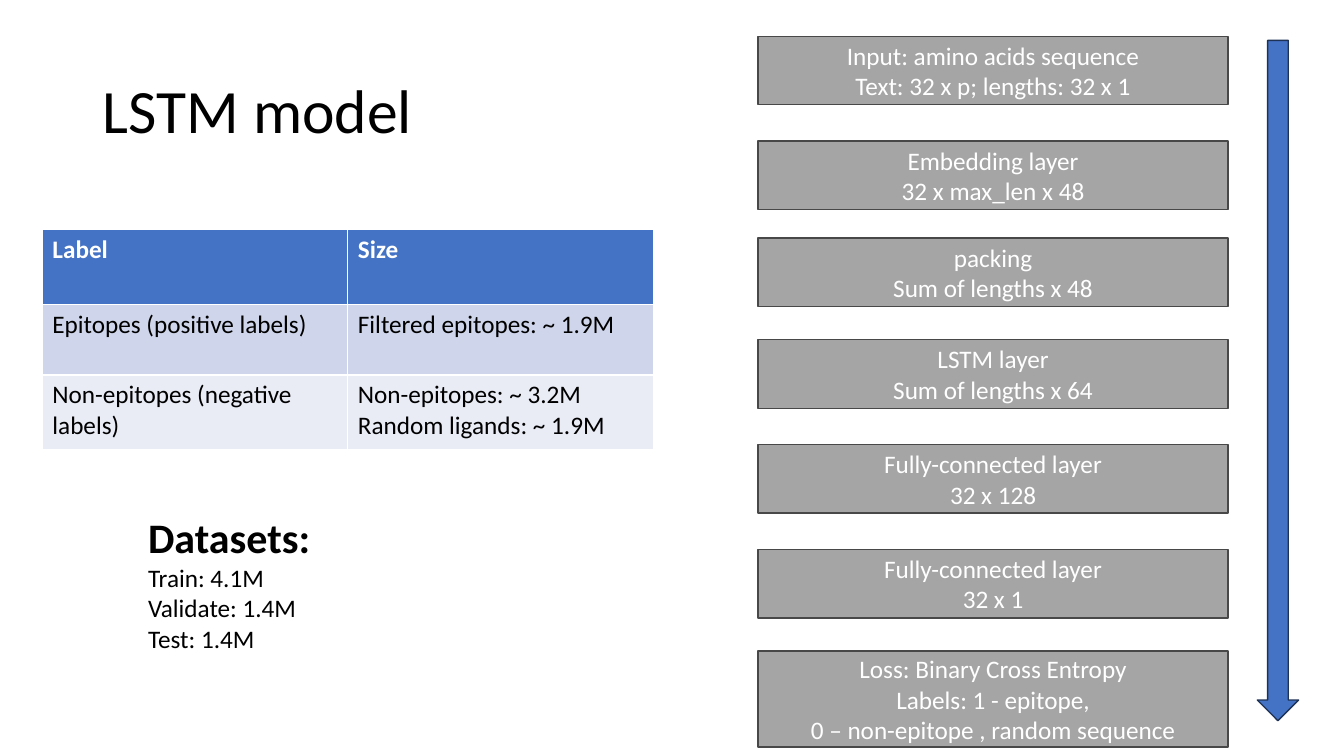
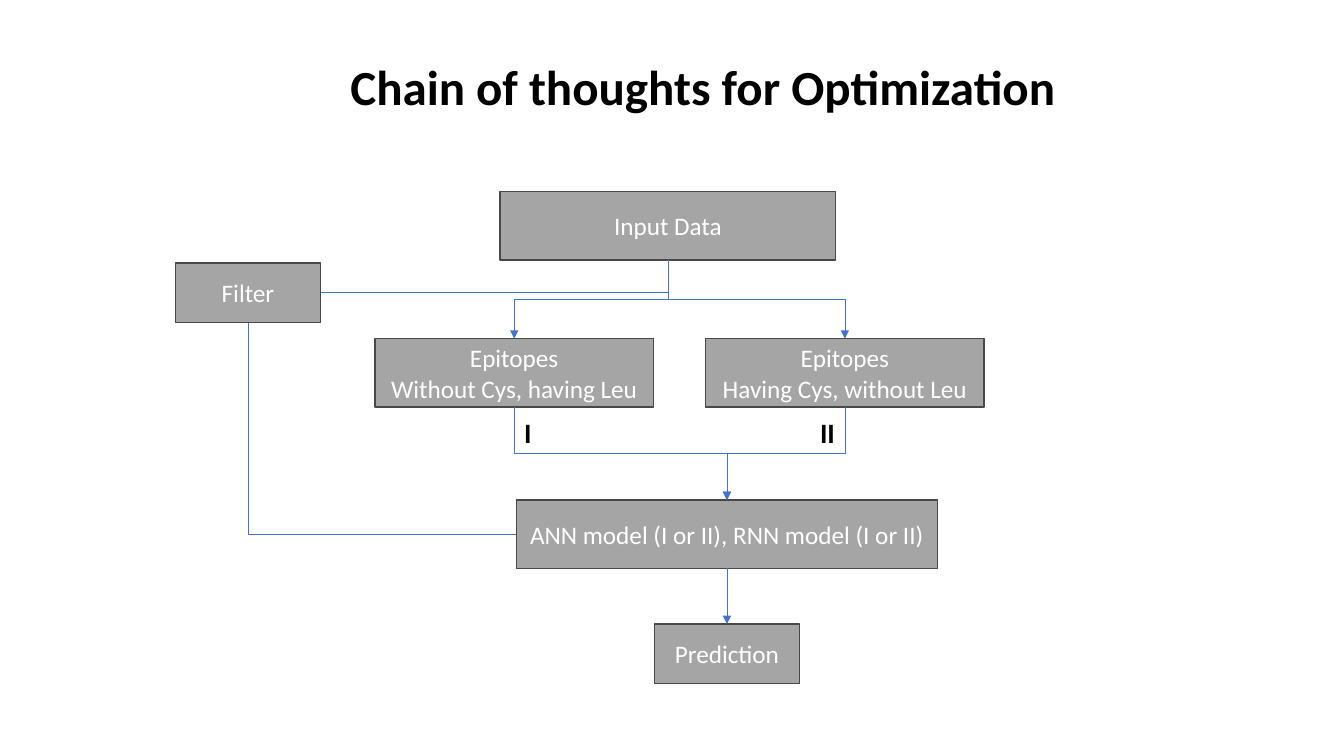
from lxml import etree
from pptx import Presentation
from pptx.dml.color import RGBColor
from pptx.enum.shapes import MSO_CONNECTOR, MSO_SHAPE
from pptx.enum.text import MSO_ANCHOR, PP_ALIGN
from pptx.oxml.ns import qn
from pptx.util import Inches, Pt

LEFT, CENTER, RIGHT = PP_ALIGN.LEFT, PP_ALIGN.CENTER, PP_ALIGN.RIGHT
TOP, MIDDLE = MSO_ANCHOR.TOP, MSO_ANCHOR.MIDDLE
STRAIGHT, ELBOW = MSO_CONNECTOR.STRAIGHT, MSO_CONNECTOR.ELBOW
RECTANGLE, DOWN_ARROW = MSO_SHAPE.RECTANGLE, MSO_SHAPE.DOWN_ARROW
TOP_SITE, LEFT_SITE, BOTTOM_SITE, RIGHT_SITE = range(4)

FONT = "Calibri"
BLACK, WHITE = "000000", "FFFFFF"
BOX_GRAY, BOX_EDGE = "A5A5A5", "484848"
BLUE, ARROW_EDGE = "4472C4", "1E3256"
ROW_FILLS = [BLUE, "CFD5EA", "E9EBF5"]
BOX_HEIGHT = 0.68

LAYERS = [
    (0.36, BOX_HEIGHT, ["Input: amino acids sequence", "Text: 32 x p; lengths: 32 x 1"]),
    (1.4, BOX_HEIGHT, ["Embedding layer", "32 x max_len x 48"]),
    (2.36, BOX_HEIGHT, ["packing", "Sum of lengths x 48"]),
    (3.37, BOX_HEIGHT, ["LSTM layer", "Sum of lengths x 64"]),
    (4.41, BOX_HEIGHT, ["Fully-connected layer", "32 x 128"]),
    (5.45, BOX_HEIGHT, ["Fully-connected layer", "32 x 1"]),
    (6.46, 0.95, ["Loss: Binary Cross Entropy", "Labels: 1 - epitope,",
                  "0 – non-epitope , random sequence"]),
]
LABEL_SIZES = [
    (["Label"], ["Size"]),
    (["Epitopes (positive labels)"], ["Filtered epitopes: ~ 1.9M"]),
    (["Non-epitopes (negative labels)"], ["Non-epitopes: ~ 3.2M", "Random ligands: ~ 1.9M"]),
]
ROW_HEIGHTS = [0.74, 0.7, 0.74]
DATASETS = ["Train: 4.1M", "Validate: 1.4M", "Test: 1.4M"]

STAGES = {
    "input": ((4.96, 1.9, 3.33, BOX_HEIGHT), ["Input Data"]),
    "without_cys": ((3.72, 3.36, 2.76, BOX_HEIGHT), ["Epitopes", "Without Cys, having Leu"]),
    "having_cys": ((7, 3.36, 2.76, BOX_HEIGHT), ["Epitopes", "Having Cys, without Leu"]),
    "model": ((5.12, 4.96, 4.18, BOX_HEIGHT), ["ANN model (I or II), RNN model (I or II)"]),
    "filter": ((1.74, 2.61, 1.44, 0.59), ["Filter"]),
    "prediction": ((6.49, 6.19, 1.44, 0.59), ["Prediction"]),
}
FORKS = [("input", "without_cys"), ("input", "having_cys"),
         ("without_cys", "model"), ("having_cys", "model")]


def color(hex_value):
    return RGBColor.from_string(hex_value)


def inches(values):
    return [Inches(value) for value in values]


def write(frame, lines, size=18, ink=BLACK, bold=False, align=LEFT, anchor=TOP, spacing=None):
    frame.word_wrap = True
    frame.vertical_anchor = anchor
    for index, line in enumerate(lines):
        paragraph = frame.add_paragraph() if index else frame.paragraphs[0]
        paragraph.alignment = align
        paragraph.line_spacing = spacing
        run = paragraph.add_run()
        run.text = line
        run.font.name, run.font.size, run.font.bold = FONT, Pt(size), bold
        run.font.color.rgb = color(ink)


def add_text(slide, bounds, lines, **style):
    frame = slide.shapes.add_textbox(*inches(bounds)).text_frame
    write(frame, lines, **style)
    return frame


def add_title(slide, bounds, title, **style):
    add_text(slide, bounds, [title], anchor=MIDDLE, spacing=0.9, **style)


def add_solid(slide, preset, bounds, fill, edge):
    solid = slide.shapes.add_shape(preset, *inches(bounds))
    solid.shadow.inherit = False
    solid.fill.solid()
    solid.fill.fore_color.rgb = color(fill)
    solid.line.color.rgb = color(edge)
    solid.line.width = Pt(1)
    return solid


def add_box(slide, bounds, lines):
    box = add_solid(slide, RECTANGLE, bounds, BOX_GRAY, BOX_EDGE)
    write(box.text_frame, lines, ink=WHITE, align=CENTER, anchor=MIDDLE)
    return box


def site(box, index):
    across, down = [(0.5, 0), (0, 0.5), (0.5, 1), (1, 0.5)][index]
    return int(box.left + box.width * across), int(box.top + box.height * down)


def add_link(slide, kind, start, end, arrow=True):
    link = slide.shapes.add_connector(kind, *start, *end)
    link.line.color.rgb = color(BLUE)
    link.line.width = Pt(0.5)
    if arrow:
        etree.SubElement(link.line._get_or_add_ln(), qn("a:tailEnd"), type="triangle")
    etree.SubElement(link._element.spPr, qn("a:effectLst"))
    return link


def add_bend(slide, source, target, target_site=TOP_SITE, preset="bentConnector3", arrow=True):
    start, end = site(source, BOTTOM_SITE), site(target, target_site)
    link = add_link(slide, ELBOW, start, end, arrow)
    link.begin_connect(source, BOTTOM_SITE)
    link.end_connect(target, target_site)
    link.width, link.height = abs(end[1] - start[1]), abs(end[0] - start[0])
    link.left = (start[0] + end[0] - link.width) // 2
    link.top = (start[1] + end[1] - link.height) // 2
    rightward = end[0] > start[0]
    frame = link._element.spPr.find(qn("a:xfrm"))
    frame.set("rot", str((270 if rightward else 90) * 60000))
    frame.set("flipH", "1" if rightward else "0")
    frame.set("flipV", "0")
    link._element.spPr.find(qn("a:prstGeom")).set("prst", preset)


def add_label_table(slide):
    table = slide.shapes.add_table(
        len(LABEL_SIZES), 2, *inches((0.42, 2.28, 6.06, sum(ROW_HEIGHTS)))).table
    for index, (row, height, fill) in enumerate(zip(LABEL_SIZES, ROW_HEIGHTS, ROW_FILLS)):
        table.rows[index].height = Inches(height)
        header = index == 0
        for column, lines in enumerate(row):
            cell = table.cell(index, column)
            cell.fill.solid()
            cell.fill.fore_color.rgb = color(fill)
            write(cell.text_frame, lines, ink=WHITE if header else BLACK, bold=header)


def build_lstm(slide):
    add_title(slide, (0.92, 0.4, 4.15, 1.45), "LSTM model", size=44)
    for top, height, lines in LAYERS:
        add_box(slide, (7.52, top, 4.66, height), lines)
    add_solid(slide, DOWN_ARROW, (12.47, 0.4, 0.41, 6.75), BLUE, ARROW_EDGE)
    datasets = add_text(slide, (1.37, 5.03, 2.94, 1.51), ["Datasets:", *DATASETS])
    heading = datasets.paragraphs[0].runs[0].font
    heading.size, heading.bold = Pt(30), True
    add_label_table(slide)


def build_chain(slide):
    add_title(slide, (2.61, 0.34, 8.73, 1.1), "Chain of thoughts for Optimization",
              size=35, bold=True, align=CENTER)
    boxes = {key: add_box(slide, bounds, lines) for key, (bounds, lines) in STAGES.items()}
    for source, target in FORKS:
        add_bend(slide, boxes[source], boxes[target])
    add_bend(slide, boxes["filter"], boxes["model"], LEFT_SITE, "bentConnector2", arrow=False)

    model, prediction = boxes["model"], boxes["prediction"]
    output = add_link(slide, STRAIGHT, site(model, BOTTOM_SITE), site(prediction, TOP_SITE))
    output.begin_connect(model, BOTTOM_SITE)
    output.end_connect(prediction, TOP_SITE)

    filter_edge = site(boxes["filter"], RIGHT_SITE)
    trunk = site(boxes["input"], BOTTOM_SITE)[0]
    feed = add_link(slide, STRAIGHT, filter_edge, (trunk, filter_edge[1]), arrow=False)
    feed.begin_connect(boxes["filter"], RIGHT_SITE)

    label_width = 0.6
    first = site(boxes["without_cys"], BOTTOM_SITE)[0] / Inches(1)
    second = site(boxes["having_cys"], BOTTOM_SITE)[0] / Inches(1) - label_width
    for left, numeral, align in [(first, "I", LEFT), (second, "II", RIGHT)]:
        add_text(slide, (left, 4.07, label_width, 0.44), [numeral],
                 size=20, bold=True, align=align)


def main():
    deck = Presentation()
    deck.slide_width, deck.slide_height = inches((13.33, 7.5))
    for build in (build_lstm, build_chain):
        build(deck.slides.add_slide(deck.slide_layouts[6]))
    deck.save("out.pptx")


if __name__ == "__main__":
    main()
